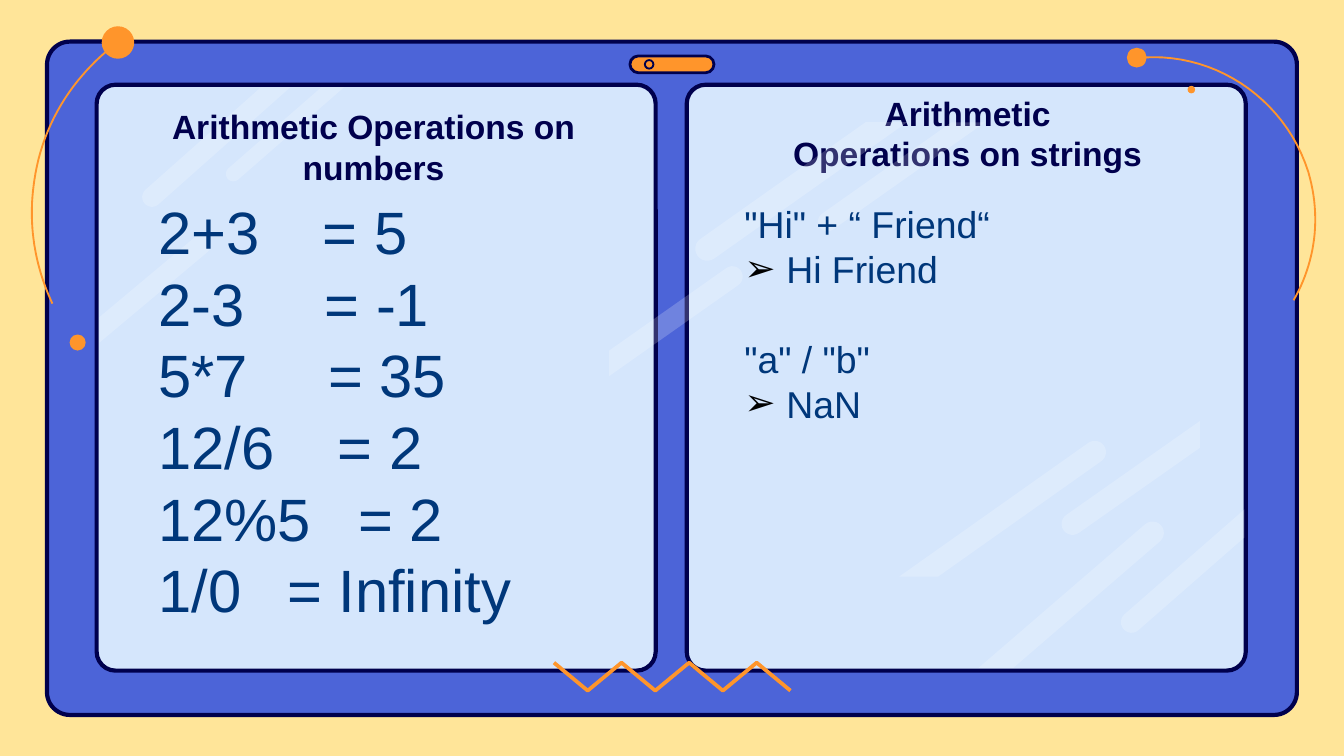
"""Build a slide on arithmetic operations with numbers and strings."""
import math

import pptx
import pptx.dml.color
import pptx.enum.shapes
import pptx.enum.text
import pptx.oxml
import pptx.oxml.ns
import pptx.util
from lxml import etree

Pt = pptx.util.Pt
ANCHOR = pptx.enum.text.MSO_ANCHOR
ALIGN = pptx.enum.text.PP_ALIGN
SHAPE = pptx.enum.shapes.MSO_SHAPE

FONT = "Arial"
COLORS = {
    "background": "FFE599", "case": "4C64D8", "panel": "D5E6FC", "navy": "00004D",
    "orange": "FF952B", "text": "00377A", "white": "FFFFFF", "bullet": "000000",
}
NUMBER_TITLE = "Arithmetic Operations on numbers"
STRING_TITLE = "Arithmetic\vOperations on strings"
NUMBER_ROWS = [
    ("2+3", "= 5", 88), ("2-3", "= -1", 89), ("5*7", "= 35", 91),
    ("12/6", "= 2", 96), ("12%5", "= 2", 107), ("1/0", "= Infinity", 69),
]
STRING_ROWS = [('"Hi" + “ Friend“', "Hi Friend"), ('"a" / "b"', "NaN")]

PANEL_TOP, PANEL_WIDTH, PANEL_HEIGHT = 45.4, 299.5, 313.9
LEFT_PANEL, RIGHT_PANEL = 51.8, 367.9
RIGHT_PANEL_STREAKS = [
    ((524.2, 357.8), (542.9, 357.8), (617.4, 285.5)),
    ((666.7, 272.9), (666.7, 288), (606.2, 333.4)),
]
LEFT_PANEL_STREAKS = [
    ((139.7, 46.8), (155.5, 46.8), (81.4, 105.6)),
    ((172.1, 46.8), (184.3, 46.8), (125, 93.2)),
    ((53.3, 169.9), (53.3, 183.6), (107.6, 131.3)),
]
FRONT_STREAKS = [
    ((463.7, 65.5), (486, 65.5), (378.9, 133.3)),
    ((509.8, 65.5), (527.8, 65.5), (443.4, 118.7)),
    ((326.2, 187.9), (326.2, 201.6), (392.3, 148.2)),
    ((481.7, 308.9), (502.6, 308.9), (586.5, 242.2)),
    ((643, 225.4), (643, 239.8), (574.6, 280.7)),
]
ORBITS = [
    [(28.1, 162.7), (18.7, 142.6), (14.8, 120.2), (18.4, 96.8),
     (23, 64.4), (41.4, 37.8), (66.2, 20.5)],
    [(607.7, 31.3), (648.4, 26.3), (688, 51.5), (700.9, 92.2),
     (708.1, 116.6), (704.5, 140.8), (693, 160.9)],
]
DOTS = [(63.2, 22.8, 8.7), (41.6, 183.5, 4.3), (609, 30.9, 5.3), (638.2, 48, 2)]
ZIGZAG = [(296.8 + 18.1 * step, 370 if step % 2 else 355) for step in range(8)]


def rgb(name):
    return pptx.dml.color.RGBColor.from_string(COLORS[name])


def paint(shape, fill=None, line=None, width=1, opacity=None):
    shape.shadow.inherit = False
    if fill:
        shape.fill.solid()
        shape.fill.fore_color.rgb = rgb(fill)
    else:
        shape.fill.background()
    if opacity:
        color = shape.element.find(".//" + pptx.oxml.ns.qn("a:srgbClr"))
        etree.SubElement(color, pptx.oxml.ns.qn("a:alpha"), val=str(opacity * 1000))
    if line:
        shape.line.color.rgb = rgb(line)
        shape.line.width = Pt(width)
    else:
        shape.line.fill.background()


def add_preset(slide, preset, box, corner=None, **style):
    shape = slide.shapes.add_shape(preset, *map(Pt, box))
    if corner is not None:
        shape.adjustments[0] = corner
    paint(shape, **style)


def add_outline(slide, points, close=False, **style):
    vertices = [(Pt(x), Pt(y)) for x, y in points]
    builder = slide.shapes.build_freeform(*vertices[0], scale=1.0)
    builder.add_line_segments(vertices[1:], close=close)
    paint(builder.convert_to_shape(), **style)


def add_streaks(slide, streaks):
    for first, second, (x, y) in streaks:
        run = x - (first[0] + second[0]) / 2
        rise = y - (first[1] + second[1]) / 2
        cross = run * (second[1] - first[1]) - rise * (second[0] - first[0])
        radius = abs(cross) / math.hypot(run, rise) / 2
        side = math.copysign(1, cross)
        heading = math.atan2(rise, run)
        angles = [heading + side * math.pi * (0.5 - step / 12) for step in range(13)]
        cap = [(x + radius * math.cos(a), y + radius * math.sin(a)) for a in angles]
        add_outline(slide, [first, second] + cap, close=True, fill="white", opacity=20)


def curve_points(controls, steps=24):
    points = [controls[0]]
    for start in range(0, len(controls) - 1, 3):
        for step in range(1, steps + 1):
            t = step / steps
            weights = [math.comb(3, k) * t**k * (1 - t)**(3 - k) for k in range(4)]
            section = controls[start:start + 4]
            points.append(tuple(sum(w * point[axis] for w, point in zip(weights, section))
                                for axis in range(2)))
    return points


def add_text(paragraph, text, size, color, bold=False, align=ALIGN.LEFT,
             before=0, bullet=None, tab=None):
    paragraph.text = text
    paragraph.alignment = align
    paragraph.space_before = Pt(before)
    properties = paragraph._p.get_or_add_pPr()
    namespace = pptx.oxml.ns.nsdecls("a")
    parts = []
    if bullet:
        properties.set("marL", str(Pt(22.5)))
        properties.set("indent", str(Pt(-22.5)))
        parts = [f'<a:buClr {namespace}><a:srgbClr val="{COLORS["bullet"]}"/></a:buClr>',
                 f'<a:buFont {namespace} typeface="{FONT}"/>',
                 f'<a:buChar {namespace} char="{bullet}"/>']
    if tab:
        parts.append(f'<a:tabLst {namespace}><a:tab pos="{Pt(tab)}" algn="l"/></a:tabLst>')
    for part in parts:
        properties.append(pptx.oxml.parse_xml(part))
    font = paragraph.font
    font.name, font.size, font.bold = FONT, Pt(size), bold
    font.color.rgb = rgb(color)


def prepare_frame(shape, box, anchor=ANCHOR.TOP, inset=3.6):
    shape.left, shape.top, shape.width, shape.height = map(Pt, box)
    frame = shape.text_frame
    frame.word_wrap = True
    frame.auto_size = pptx.enum.text.MSO_AUTO_SIZE.NONE
    frame.vertical_anchor = anchor
    frame.margin_left = frame.margin_right = Pt(7.2)
    frame.margin_top = frame.margin_bottom = Pt(inset)
    return frame


def add_box(slide):
    return slide.shapes.add_textbox(0, 0, 0, 0)


def add_rows(slide, box, rows):
    frame = prepare_frame(add_box(slide), box)
    for index, (text, style) in enumerate(rows):
        paragraph = frame.add_paragraph() if index else frame.paragraphs[0]
        add_text(paragraph, text, color="text", **style)


def main():
    presentation = pptx.Presentation()
    presentation.slide_width, presentation.slide_height = Pt(720), Pt(405)
    slide = presentation.slides.add_slide(presentation.slide_layouts[5])
    slide.background.fill.solid()
    slide.background.fill.fore_color.rgb = rgb("background")

    rounded = SHAPE.ROUNDED_RECTANGLE
    frame_style = {"corner": 0.034, "line": "navy", "width": 2.25}
    add_preset(slide, rounded, (25.2, 22.3, 669.6, 360.7), fill="case", **frame_style)
    for left, streaks in ((RIGHT_PANEL, RIGHT_PANEL_STREAKS), (LEFT_PANEL, LEFT_PANEL_STREAKS)):
        add_preset(slide, rounded, (left, PANEL_TOP, PANEL_WIDTH, PANEL_HEIGHT),
                   fill="panel", **frame_style)
        add_streaks(slide, streaks)

    add_preset(slide, rounded, (337.5, 30, 45, 9), corner=0.5,
               fill="orange", line="navy", width=1.5)
    add_preset(slide, SHAPE.OVAL, (345.5, 32.2, 4.6, 4.6), line="navy", width=1)
    for orbit in ORBITS:
        add_outline(slide, curve_points(orbit), line="orange", width=1)
    for x, y, radius in DOTS:
        add_preset(slide, SHAPE.OVAL, (x - radius, y - radius, 2 * radius, 2 * radius),
                   fill="orange")
    add_outline(slide, ZIGZAG, line="orange", width=2)

    title = slide.shapes.title
    title.element.getparent().append(title.element)
    for shape, text, box, anchor in (
        (title, NUMBER_TITLE, (58.3, 49.7, 283.7, 33.1), ANCHOR.TOP),
        (add_box(slide), STRING_TITLE, (380.9, 67, 275, 33.1), ANCHOR.BOTTOM),
    ):
        frame = prepare_frame(shape, box, anchor, inset=7.2)
        add_text(frame.paragraphs[0], text, 18, "navy", bold=True, align=ALIGN.CENTER)
    add_streaks(slide, FRONT_STREAKS)

    add_rows(slide, (77.8, 100.8, 244.8, 278.6),
             [(f"{left}\t{right}", {"size": 32, "tab": tab}) for left, right, tab in NUMBER_ROWS])
    string_rows = []
    for index, (expression, result) in enumerate(STRING_ROWS):
        string_rows.append((expression, {"size": 20, "before": 24 if index else 0}))
        string_rows.append((result, {"size": 20, "bullet": "➢"}))
    add_rows(slide, (391.7, 104.4, 259.2, 200.9), string_rows)
    presentation.save("out.pptx")


if __name__ == "__main__":
    main()
